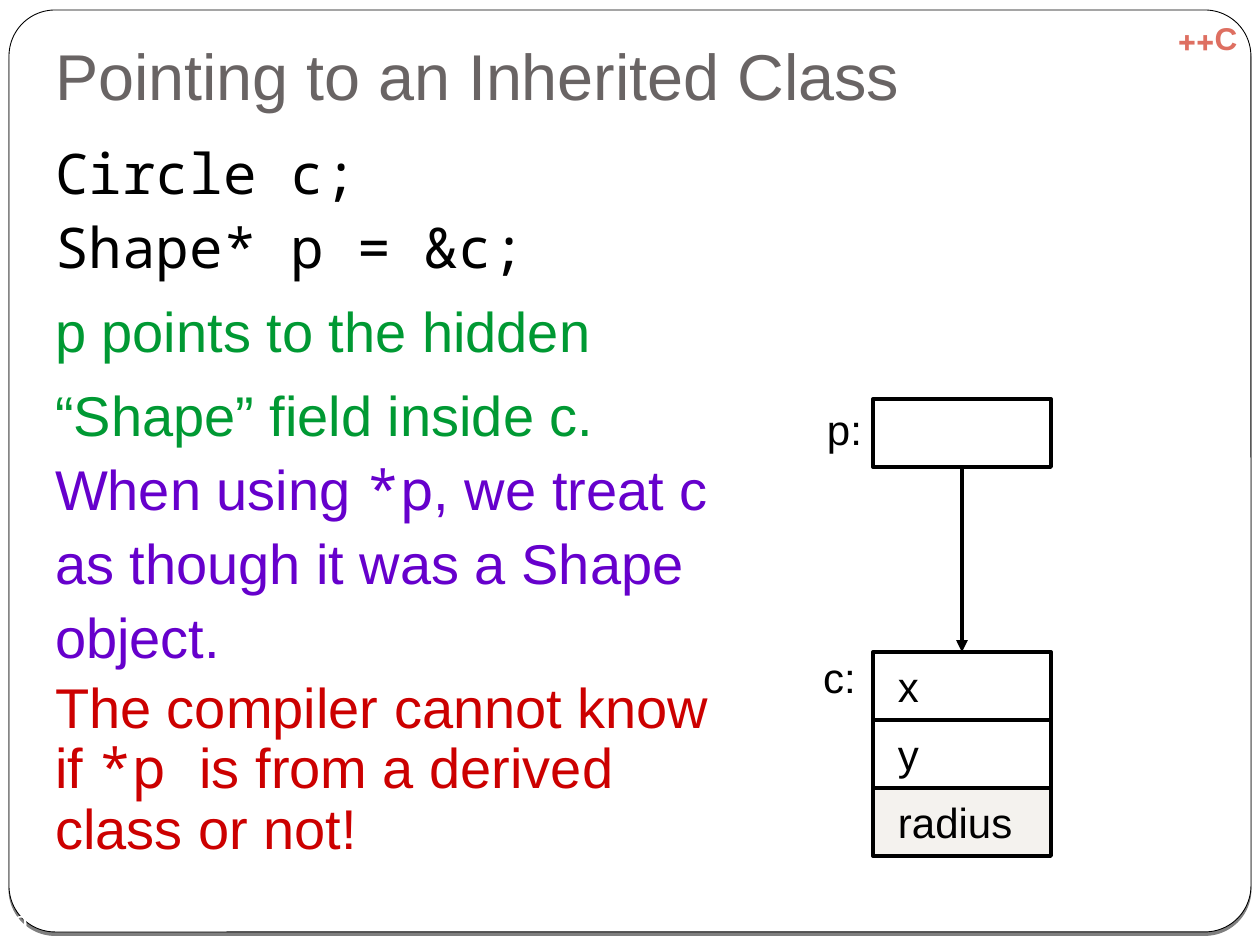
import pptx
import pptx.util
import pptx.dml.color
import pptx.enum.shapes
import pptx.enum.text
import pptx.oxml
import pptx.oxml.ns

PX = 914400 / 126
COLORS = {
    "white": "FFFFFF", "black": "000000", "title": "696464", "tag": "DE6F61",
    "green": "009933", "purple": "6600CC", "red": "CC0000", "derived": "F4F2EE",
}
SANS, MONO = "Arial", "Noto Sans Mono"
SHAPE = pptx.enum.shapes.MSO_SHAPE
ALIGN = pptx.enum.text.PP_ALIGN
ANCHOR = pptx.enum.text.MSO_ANCHOR

# Each paragraph: line spacing, then runs of (text, colour, font)
BODY = [
    (1.1, [("Circle c;\nShape* p = &c;", "black", MONO)]),
    (1.1, [("p points to the hidden", "green", SANS)]),
    (1.1, [("“Shape” field inside c.\n", "green", SANS),
           ("When using ", "purple", SANS),
           ("*p", "purple", MONO),
           (", we treat c as though it was a Shape object.", "purple", SANS)]),
    (0.9, [("The compiler cannot know if ", "red", SANS),
           ("*p ", "red", MONO),
           ("is from a derived class or not!", "red", SANS)]),
]


def emu(*lengths):
    return [pptx.util.Emu(round(n * PX)) for n in lengths]


def rgb(name):
    return pptx.dml.color.RGBColor.from_string(COLORS[name])


def place(s, *box):
    s.left, s.top, s.width, s.height = emu(*box)


def set_frame(s, insets, anchor=ANCHOR.TOP, wrap=True):
    tf = s.text_frame
    tf.margin_left, tf.margin_top, tf.margin_right, tf.margin_bottom = emu(*insets)
    tf.vertical_anchor = anchor
    tf.word_wrap = wrap
    tf.auto_size = pptx.enum.text.MSO_AUTO_SIZE.NONE
    return tf


def add_text(p, text, size, color, font=SANS, bold=False):
    """Add a run to the paragraph, with a line break at each newline."""
    for i, line in enumerate(text.split("\n")):
        if i:
            p.add_line_break()
        if line:
            r = p.add_run()
            r.text = line
            r.font.size = pptx.util.Pt(size)
            r.font.name = font
            r.font.bold = bold
            r.font.color.rgb = rgb(color)


def add_box(slide, kind, box, fill=None, line=None):
    sp = slide.shapes.add_shape(kind, *emu(*box))
    sp.shadow.inherit = False
    if fill:
        sp.fill.solid()
        sp.fill.fore_color.rgb = rgb(fill)
    else:
        sp.fill.background()
    if line:
        sp.line.color.rgb = rgb("black")
        sp.line.width = pptx.util.Pt(line)
    else:
        sp.line.fill.background()
    return sp


def add_label(slide, box, text, size, color="black", insets=(25, 19, 25, 19),
              anchor=ANCHOR.TOP, align=ALIGN.LEFT, wrap=False, bold=False):
    s = slide.shapes.add_textbox(*emu(*box))
    p = set_frame(s, insets, anchor, wrap).paragraphs[0]
    p.alignment = align
    add_text(p, text, size, color, bold=bold)
    return p


def add_field(slide, box, text="", fill=None):
    """Add a memory cell with an optional member name."""
    sp = add_box(slide, SHAPE.RECTANGLE, box, fill, 2.25)
    if text:
        p = set_frame(sp, (25, 19, 25, 19), ANCHOR.MIDDLE, False).paragraphs[0]
        p.alignment = ALIGN.LEFT
        add_text(p, text, 24, "black")
    return sp


def add_arrow(slide, start, end):
    """Join the bottom of one cell to the top of another."""
    c = slide.shapes.add_connector(pptx.enum.shapes.MSO_CONNECTOR.STRAIGHT, 0, 0, 0, 0)
    c.begin_connect(start, 2)
    c.end_connect(end, 0)
    c.line.color.rgb = rgb("black")
    c.line.width = pptx.util.Pt(2.25)
    pptx.oxml.ns.qn("a:ln")
    ln = c.line._get_or_add_ln()
    ln.append(pptx.oxml.parse_xml(
        f'<a:tailEnd {pptx.oxml.ns.nsdecls("a")} type="triangle"/>'))
    c._element.spPr.append(pptx.oxml.parse_xml(
        f'<a:effectLst {pptx.oxml.ns.nsdecls("a")}/>'))


def add_background(slide):
    add_box(slide, SHAPE.RECTANGLE, (0, 0, 1260, 945), "white")
    panel = add_box(slide, SHAPE.ROUNDED_RECTANGLE, (9, 10, 1242, 922), "white", 0.5)
    panel.adjustments[0] = 0.05
    effects = panel._element.spPr.find(pptx.oxml.ns.qn("a:effectLst"))
    effects.append(pptx.oxml.parse_xml(
        f'<a:outerShdw {pptx.oxml.ns.nsdecls("a")} blurRad="0" dist="25400" dir="5400000">'
        f'<a:srgbClr val="{COLORS["black"]}"><a:alpha val="50000"/></a:srgbClr></a:outerShdw>'))
    tag = add_label(slide, (1155, 13, 105, 50), "C++", 18, "tag", (13, 6, 13, 6),
                    align=ALIGN.CENTER, wrap=True, bold=True)
    tag._p.get_or_add_pPr().set("rtl", "1")


def fill_title(s):
    place(s, 42, 38, 1176, 88)
    p = set_frame(s, (13, 6, 13, 13), ANCHOR.BOTTOM).paragraphs[0]
    p.alignment = ALIGN.LEFT
    p.line_spacing = 0.8
    add_text(p, "Pointing to an Inherited Class", 37, "title")


def fill_body(s):
    place(s, 42, 126, 703, 788)
    tf = set_frame(s, (13, 6, 13, 6))
    for i, (spacing, runs) in enumerate(BODY):
        p = tf.add_paragraph() if i else tf.paragraphs[0]
        pPr = p._p.get_or_add_pPr()
        pPr.set("marL", "0")
        pPr.set("indent", "0")
        pPr.append(pptx.oxml.parse_xml(f'<a:buNone {pptx.oxml.ns.nsdecls("a")}/>'))
        p.line_spacing = spacing
        p.space_before = pptx.util.Pt(5.8 if i else 0)
        for text, color, font in runs:
            add_text(p, text, 32, color, font)


def add_memory_diagram(slide):
    left, width, height, top = 873, 178, 68, 652
    members = [("x", None), ("y", None), ("radius", "derived")]
    fields = [add_field(slide, (left, top + i * height, width, height), name, fill)
              for i, (name, fill) in enumerate(members)]
    pointer = add_field(slide, (left, 399, width, height))
    add_label(slide, (798, 633, 83, 88), "c:", 24)
    add_label(slide, (802, 385, 86, 88), "p:", 24)
    add_arrow(slide, pointer, fields[0])


def main():
    prs = pptx.Presentation()
    prs.slide_width, prs.slide_height = emu(1260, 945)
    slide = prs.slides.add_slide(prs.slide_layouts[1])
    title, body = slide.placeholders
    add_background(slide)
    for s in (title, body):
        slide.shapes._spTree.append(s._element)  # bring in front of the panel
    fill_title(title)
    add_label(slide, (0, 903, 42, 42), "9", 14, "white", (0, 0, 0, 0),
              ANCHOR.MIDDLE, ALIGN.CENTER, True)
    fill_body(body)
    add_memory_diagram(slide)
    prs.save("out.pptx")


if __name__ == "__main__":
    main()
